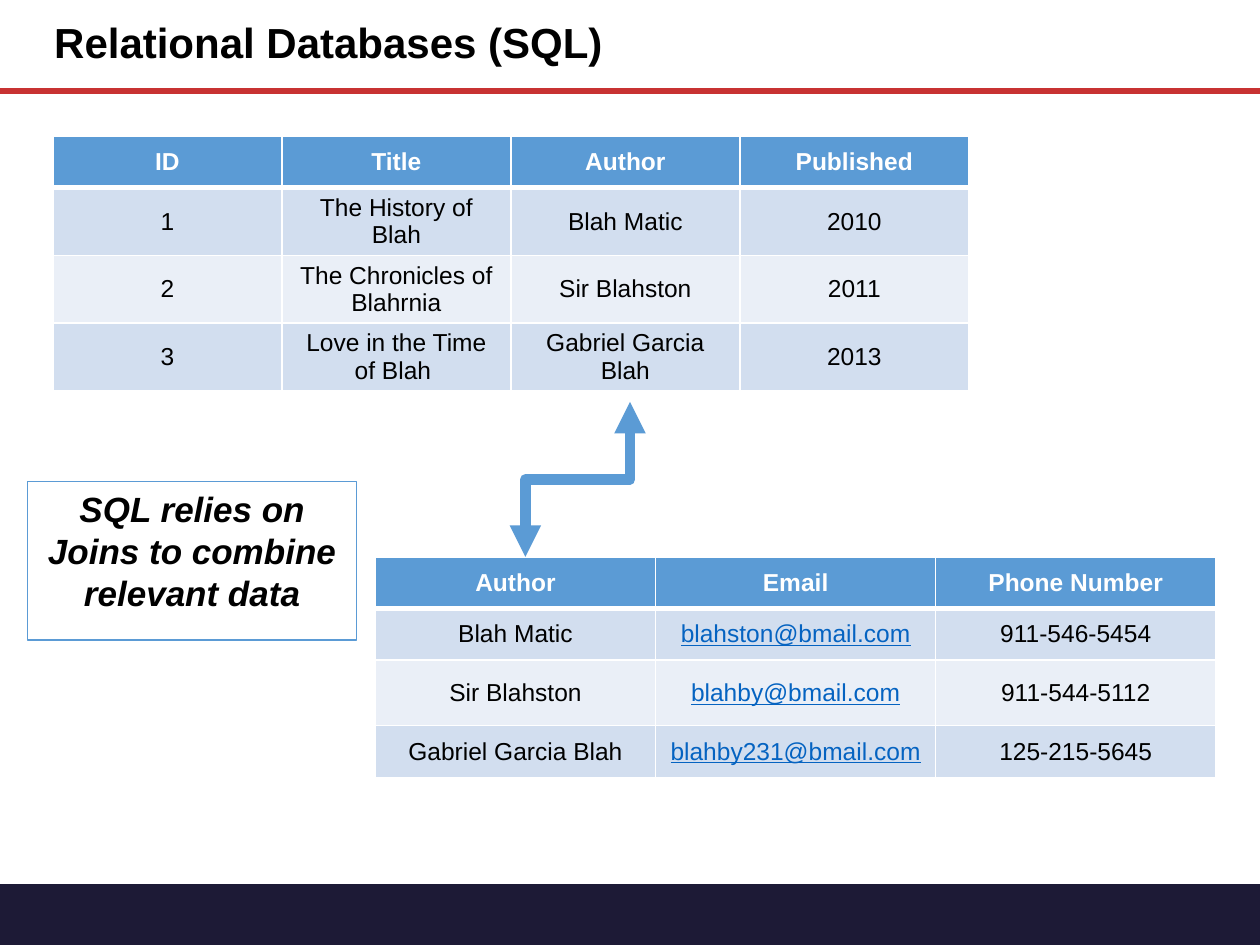
from dataclasses import dataclass

from lxml.etree import SubElement
from pptx import Presentation
from pptx.dml.color import RGBColor
from pptx.enum.shapes import MSO_CONNECTOR, MSO_SHAPE
from pptx.enum.text import MSO_ANCHOR, MSO_AUTO_SIZE, PP_ALIGN
from pptx.oxml.ns import qn
from pptx.util import Inches, Pt


@dataclass(frozen=True)
class Theme:
    """Colours, font and type sizes of the slide."""
    face: str = "Arial"
    ink: str = "000000"
    white: str = "FFFFFF"
    blue: str = "5B9BD5"
    bands: tuple = ("D2DEEF", "EAEFF7")
    link: str = "0563C1"
    red: str = "C83232"
    navy: str = "1D1A36"
    head: int = 24
    note: int = 20
    cell: int = 14


def apply(item, values):
    """Set each attribute named in values."""
    for name, value in values.items():
        setattr(item, name, value)


def inches(*sizes):
    """Turn plain numbers into lengths."""
    return [Inches(size) for size in sizes]


def paint(fill, color):
    """Fill with one solid colour."""
    fill.solid()
    fill.fore_color.rgb = RGBColor.from_string(color)


class Board:
    """Holds the theme and the current slide."""

    def __init__(self, theme, slide):
        """Keep the theme and slide."""
        self.theme, self.slide = theme, slide

    def label(self, frame, text, size, color, para=None, **font):
        """Put one styled paragraph in a text frame."""
        line = frame.paragraphs[0]
        apply(line, para or {"alignment": PP_ALIGN.CENTER})
        run = line.add_run()
        run.text = text
        apply(run.font, {"name": self.theme.face, "size": Pt(size), **font})
        run.font.color.rgb = RGBColor.from_string(color)

    def title(self, text, *box):
        """Place and fill the title."""
        shape = self.slide.shapes.title
        apply(shape, dict(zip(("left", "top", "width", "height"), inches(*box))))
        apply(shape.text_frame, {"vertical_anchor": MSO_ANCHOR.MIDDLE, "word_wrap": True,
                                 "auto_size": MSO_AUTO_SIZE.NONE})
        self.label(shape.text_frame, text, self.theme.head, self.theme.ink,
                   {"alignment": PP_ALIGN.LEFT, "line_spacing": 0.9}, bold=True)

    def band(self, color, *box):
        """Draw a plain filled bar."""
        shape = self.slide.shapes.add_shape(MSO_SHAPE.FLOWCHART_PROCESS, *inches(*box))
        shape.shadow.inherit = False
        paint(shape.fill, color)
        shape.line.fill.background()

    def note(self, text, *box):
        """Draw an outlined box with a remark."""
        shape = self.slide.shapes.add_shape(MSO_SHAPE.RECTANGLE, *inches(*box))
        shape.shadow.inherit = False
        shape.fill.background()
        paint(shape.line.fill, self.theme.blue)
        shape.line.width = Pt(0.75)
        apply(shape.text_frame, {"vertical_anchor": MSO_ANCHOR.TOP, "word_wrap": True})
        self.label(shape.text_frame, text, self.theme.note, self.theme.ink,
                   {"alignment": PP_ALIGN.CENTER, "space_before": Pt(4)},
                   bold=True, italic=True)

    def line(self, kind, color, width, *ends, turn=0, tips=()):
        """Draw a connector, turned by degrees, with arrow tips."""
        link = self.slide.shapes.add_connector(kind, *inches(*ends))
        paint(link.line.fill, color)
        link.line.width = Pt(width)
        props = link.element.spPr
        if turn:
            props.find(qn("a:xfrm")).set("rot", str(turn * 60000))
        for tip in tips:
            SubElement(props.find(qn("a:ln")), qn(tip), type="triangle")
        SubElement(props, qn("a:effectLst"))

    def edge(self, cell, **widths):
        """Give a cell white borders, one point unless a side is named."""
        props = cell._tc.get_or_add_tcPr()
        for side in "LRTB":
            edge = SubElement(props, qn(f"a:ln{side}"), w=str(Pt(widths.get(side, 1))))
            fill = SubElement(edge, qn("a:solidFill"))
            SubElement(fill, qn("a:srgbClr"), val=self.theme.white)

    def table(self, left, top, wide, highs, rows):
        """Draw a table with a header and banded rows."""
        look = self.theme
        count = len(rows[0])
        grid = self.slide.shapes.add_table(
            len(rows), count, *inches(left, top, wide, sum(highs))).table
        for col in grid.columns:
            col.width = Inches(wide / count)
        for y, (high, row) in enumerate(zip(highs, rows)):
            grid.rows[y].height = Inches(high)
            for x, text in enumerate(row):
                cell = grid.cell(y, x)
                cell.vertical_anchor = MSO_ANCHOR.MIDDLE
                self.edge(cell, **({"B": 3} if y == 0 else {"T": 3} if y == 1 else {}))
                paint(cell.fill, look.bands[(y - 1) % 2] if y else look.blue)
                mail = "@" in text
                color = look.link if mail else look.ink if y else look.white
                self.label(cell.text_frame, text, look.cell, color,
                           bold=y == 0, underline=mail)


def main():
    """Build and save the slide."""
    deck = Presentation()
    apply(deck, {"slide_width": Inches(10), "slide_height": Inches(7.5)})
    look = Theme()
    board = Board(look, deck.slides.add_slide(deck.slide_layouts[5]))
    board.band(look.navy, 0, 7.02, 10.01, 0.5)
    board.line(MSO_CONNECTOR.STRAIGHT, look.red, 3.25, 0, 0.72, 10, 0.72)
    board.title("Relational Databases (SQL)", 0.33, 0, 5.98, 0.72)
    board.table(0.42, 1.08, 7.27, [0.41] * 4, [
        ("ID", "Title", "Author", "Published"),
        ("1", "The History of Blah", "Blah Matic", "2010"),
        ("2", "The Chronicles of Blahrnia", "Sir Blahston", "2011"),
        ("3", "Love in the Time of Blah ", "Gabriel Garcia Blah", "2013"),
    ])
    board.table(2.98, 4.42, 6.67, [0.41, 0.41, 0.52, 0.41], [
        ("Author", "Email", "Phone Number"),
        ("Blah Matic", "blahston@bmail.com", "911-546-5454"),
        ("Sir Blahston", "blahby@bmail.com", "911-544-5112"),
        ("Gabriel Garcia Blah", "blahby231@bmail.com", "125-215-5645"),
    ])
    board.line(MSO_CONNECTOR.ELBOW, look.blue, 6, 3.97, 3.39, 5.2, 4.22,
               turn=90, tips=("a:headEnd", "a:tailEnd"))
    board.note("SQL relies on Joins to combine relevant data", 0.22, 3.82, 2.61, 1.26)
    deck.save("out.pptx")


if __name__ == "__main__":
    main()
